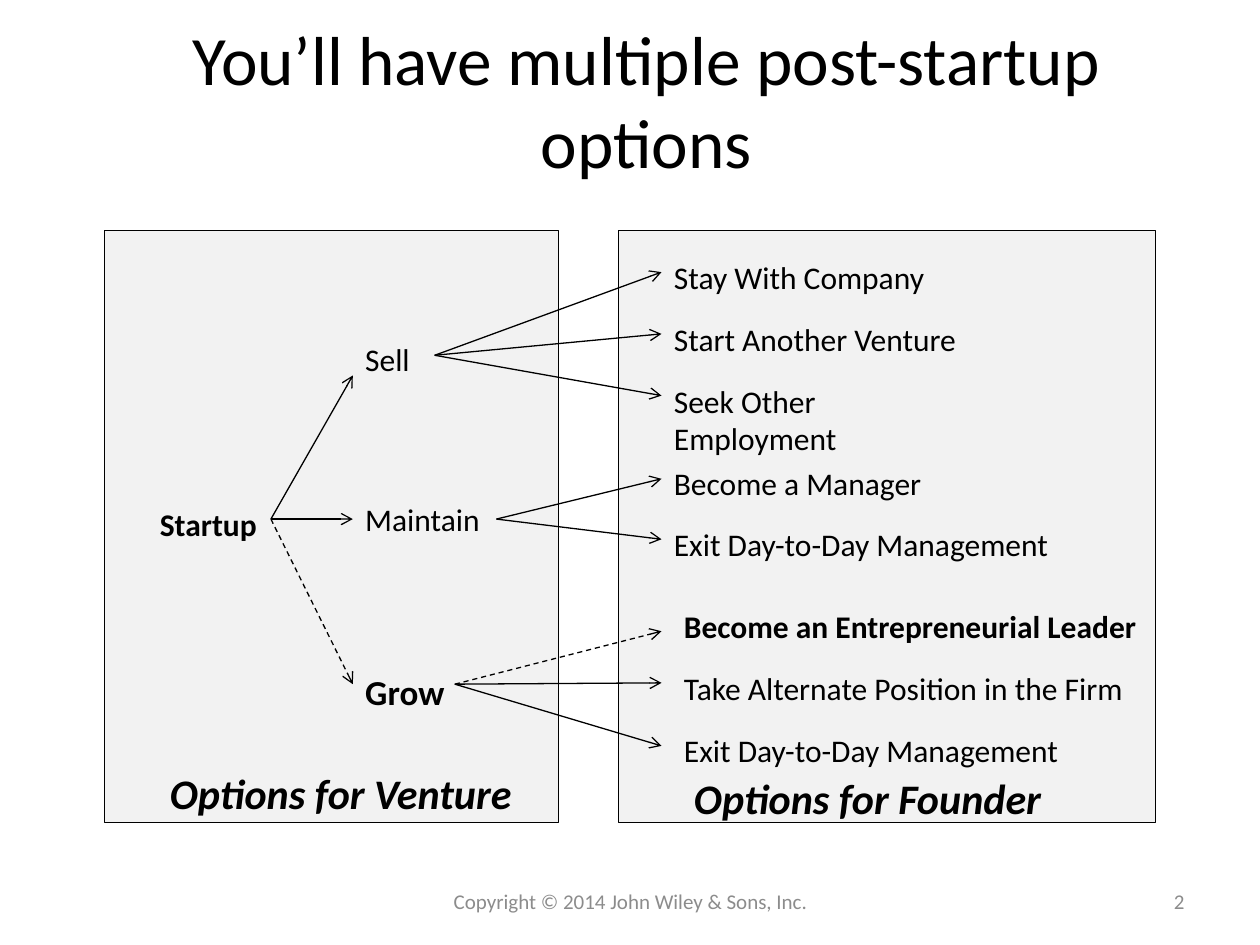
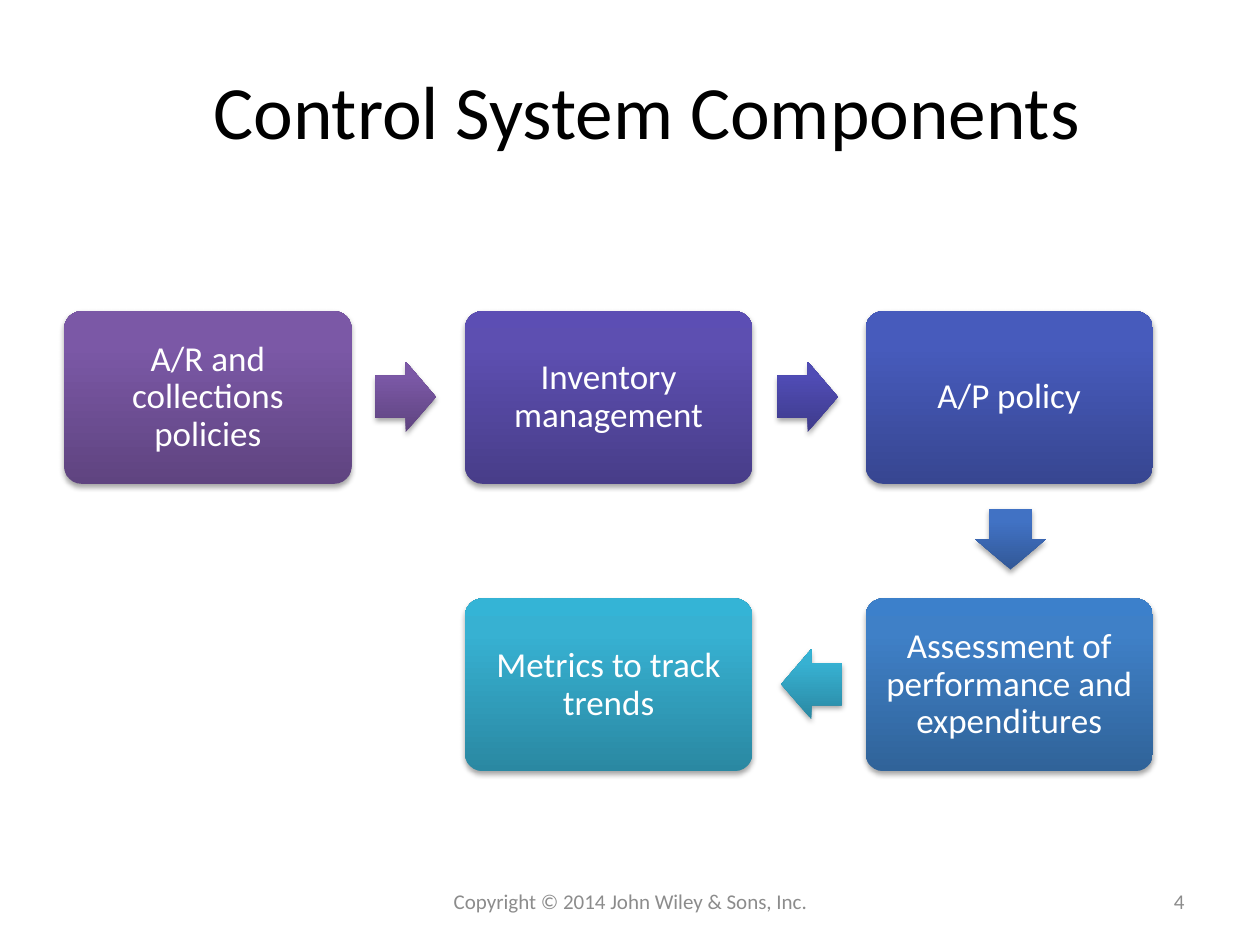
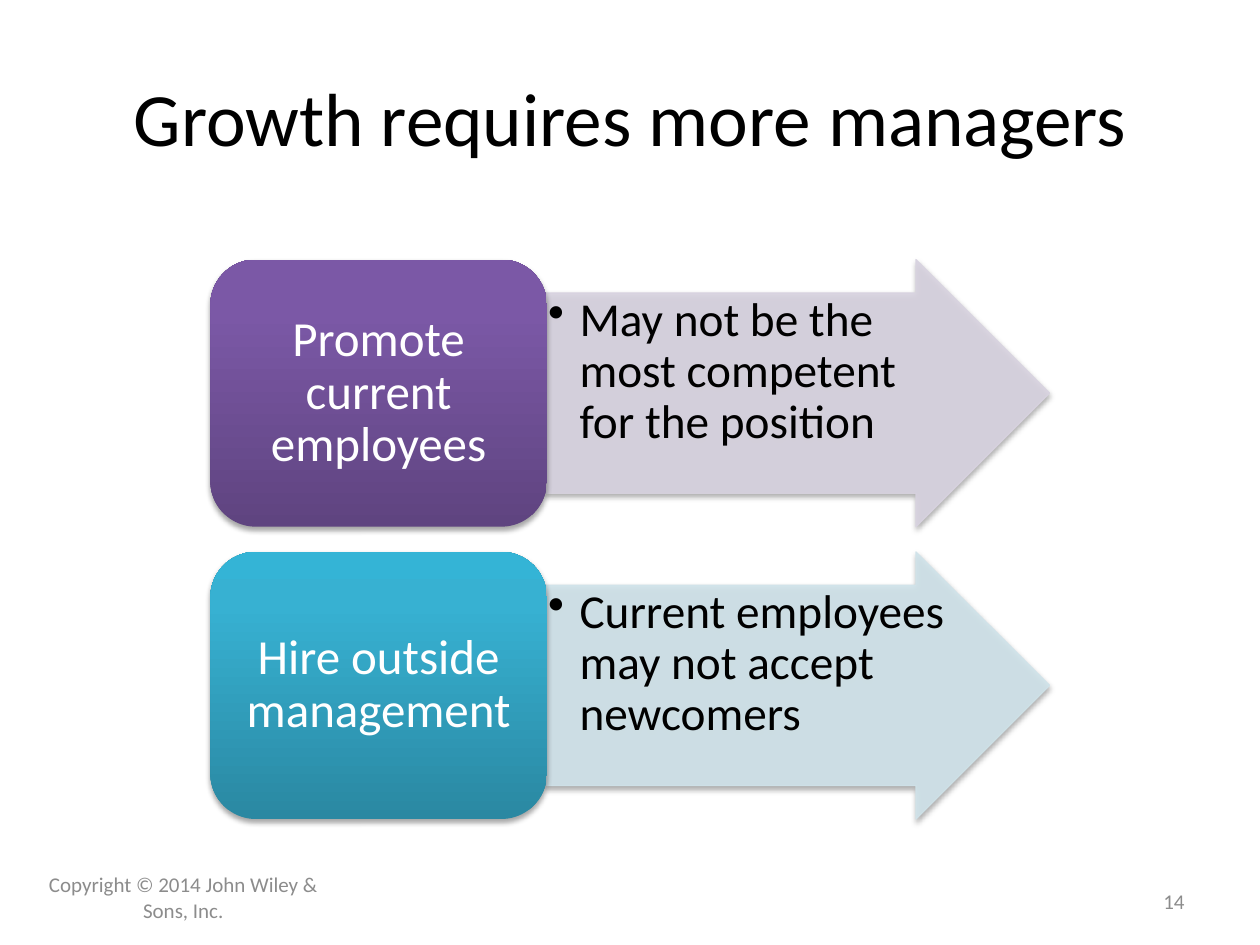
from copy import deepcopy

from lxml import etree
from pptx import Presentation
from pptx.dml.color import RGBColor
from pptx.enum.dml import MSO_LINE
from pptx.enum.shapes import MSO_CONNECTOR, MSO_SHAPE
from pptx.enum.text import MSO_ANCHOR, PP_ALIGN
from pptx.oxml.ns import qn
from pptx.util import Inches, Pt

RECTANGLE = MSO_SHAPE.RECTANGLE
ROUNDED = MSO_SHAPE.ROUNDED_RECTANGLE
ARROW = MSO_SHAPE.RIGHT_ARROW
STRAIGHT = MSO_CONNECTOR.STRAIGHT
DASH = MSO_LINE.DASH
TOP, MIDDLE = MSO_ANCHOR.TOP, MSO_ANCHOR.MIDDLE
LEFT, CENTER, RIGHT = PP_ALIGN.LEFT, PP_ALIGN.CENTER, PP_ALIGN.RIGHT

FONT = "Calibri"
BLACK, WHITE, GREY, PANEL = "000000", "FFFFFF", "8C8C8C", "F2F2F2"
COPYRIGHT = "Copyright © 2014 John Wiley & Sons, Inc."
GRADIENT_POSITIONS = (0, 0.8, 1)
PURPLE = ("5F4480", "7B58A6", "7C57A8")
VIOLET = ("483D89", "5D4FB1", "5C4EB4")
INDIGO = ("3E3B8B", "504CB5", "4F4BB8")
ROYAL = ("374691", "475BBC", "455ABF")
COBALT = ("325897", "4172C4", "3F72C7")
BLUE = ("306399", "3F80C7", "3C80CB")
TEAL = ("2A88A2", "37B1D2", "34B4D6")


def rgb(value):
    """Turn a hex string into a colour."""
    return RGBColor.from_string(value)


def add_element(parent, tag, **attributes):
    """Append a drawing element and return it."""
    element = etree.SubElement(parent, qn(tag))
    for name, value in attributes.items():
        element.set(name, str(value))
    return element


class Deck:
    """Hold the shared style and the current slide."""

    def __init__(self):
        """Start an empty presentation."""
        self.presentation = Presentation()
        self.presentation.slide_width = Inches(10)
        self.presentation.slide_height = Inches(7.5)
        self.slide = None

    def new_slide(self, title, title_box, title_size, number,
                  footer_box=(3.42, 6.95, 3.17, 0.4)):
        """Add a slide with its title, copyright line and number."""
        layout = self.presentation.slide_layouts[6]
        self.slide = self.presentation.slides.add_slide(layout)
        self.text(title, title_box, title_size, align=CENTER, anchor=MIDDLE)
        self.text(COPYRIGHT, footer_box, 12, GREY, align=CENTER, anchor=MIDDLE)
        self.text(number, (7.17, 6.95, 2.33, 0.4), 12, GREY, align=RIGHT, anchor=MIDDLE)

    def set_text(self, shape, text, size, color, align, anchor, bold=False, italic=False):
        """Fill a shape with one styled paragraph and return it."""
        frame = shape.text_frame
        frame.word_wrap = True
        frame.vertical_anchor = anchor
        frame.text = text
        paragraph = frame.paragraphs[0]
        paragraph.alignment = align
        font = paragraph.runs[0].font
        font.name, font.size, font.color.rgb = FONT, Pt(size), rgb(color)
        font.bold, font.italic = bold, italic
        return paragraph

    def text(self, text, box, size=18, color=BLACK, align=LEFT, anchor=TOP, **style):
        """Add a text box."""
        shape = self.slide.shapes.add_textbox(*map(Inches, box))
        self.set_text(shape, text, size, color, align, anchor, **style)

    def shape(self, kind, box, adjustments=()):
        """Add a preset shape without outline or shadow."""
        shape = self.slide.shapes.add_shape(kind, *map(Inches, box))
        for index, value in enumerate(adjustments):
            shape.adjustments[index] = value
        shape.line.fill.background()
        shape.shadow.inherit = False
        return shape

    def panel(self, box):
        """Add a pale panel with a thin outline."""
        shape = self.shape(RECTANGLE, box)
        shape.fill.solid()
        shape.fill.fore_color.rgb = rgb(PANEL)
        shape.line.color.rgb = rgb(BLACK)
        shape.line.width = Pt(0.25)

    def drop_shadow(self, shape):
        """Give a shape a soft shadow below it."""
        effects = shape._element.spPr.find(qn("a:effectLst"))
        shadow = add_element(effects, "a:outerShdw", blurRad=Pt(3.1), dist=Pt(1.8),
                             dir=5400000, rotWithShape=0)
        shadow_color = add_element(shadow, "a:srgbClr", val=BLACK)
        add_element(shadow_color, "a:alpha", val=35000)

    def gradient_shape(self, kind, box, colors, adjustments, rotation=0):
        """Add a shape with a vertical gradient and a shadow."""
        shape = self.shape(kind, box, adjustments)
        shape.rotation = rotation
        shape.fill.gradient()
        shape.fill.gradient_angle = 90
        gradient = shape._element.spPr.find(qn("a:gradFill"))
        gradient.set("rotWithShape", "0")
        stop_list = gradient.find(qn("a:gsLst"))
        stop_list.append(deepcopy(stop_list[0]))
        for stop, position, color in zip(shape.fill.gradient_stops, GRADIENT_POSITIONS, colors):
            stop.position = position
            stop.color.rgb = rgb(color)
        self.drop_shadow(shape)
        return shape

    def card(self, text, box, colors, size, corner, margins):
        """Add a rounded card with centred white text."""
        shape = self.gradient_shape(ROUNDED, box, colors, (corner,))
        paragraph = self.set_text(shape, text, size, WHITE, CENTER, MIDDLE)
        paragraph.line_spacing = 0.9
        self.margins(shape, *margins)

    def margins(self, shape, horizontal, vertical):
        """Set the text margins of a shape."""
        frame = shape.text_frame
        frame.margin_left = frame.margin_right = Inches(horizontal)
        frame.margin_top = frame.margin_bottom = Inches(vertical)

    def bullet_arrow(self, text, box, color):
        """Add a pale translucent arrow with one bullet."""
        shape = self.shape(ARROW, box, (0.75, 0.5))
        shape.fill.solid()
        shape.fill.fore_color.rgb = shape.line.color.rgb = rgb(color)
        shape.line.width = Pt(0.75)
        for fill_color in shape._element.spPr.iter(qn("a:srgbClr")):
            add_element(fill_color, "a:alpha", val=90000)
        self.drop_shadow(shape)
        paragraph = self.set_text(shape, text, 27, BLACK, LEFT, TOP)
        properties = paragraph._p.get_or_add_pPr()
        properties.set("marL", str(Inches(0.25)))
        properties.set("indent", str(Inches(-0.25)))
        add_element(properties, "a:buChar", char="•")
        paragraph.line_spacing = 0.9
        self.margins(shape, 0.02, 0.02)

    def arrow(self, start, end, dashed=False):
        """Draw a thin arrow between two points."""
        connector = self.slide.shapes.add_connector(STRAIGHT, *map(Inches, start + end))
        connector.line.color.rgb = rgb(BLACK)
        connector.line.width = Pt(0.75)
        if dashed:
            connector.line.dash_style = DASH
        properties = connector._element.spPr
        add_element(properties.find(qn("a:ln")), "a:tailEnd", type="arrow")
        add_element(properties, "a:effectLst")


def build_options(deck):
    """Build the tree of options after the startup."""
    deck.new_slide("You’ll have multiple post-startup options", (0.67, 0.25, 8.92, 1.08), 39.6, "2")
    deck.panel((4.91, 1.83, 4.26, 4.7))
    deck.panel((0.83, 1.83, 3.6, 4.7))
    deck.text("Startup", (1.17, 3.96, 0.98, 0.55), bold=True)
    deck.text("Options for Venture", (1.25, 6.04, 3.42, 0.54), 24, bold=True, italic=True)
    deck.text("Options for Founder", (5.41, 6.08, 3.76, 0.54), 24, bold=True, italic=True)

    startup, arrow_end, option_pitch = (2.15, 4.12), 5.25, 0.49
    key_choices = ("Grow", "Become an Entrepreneurial Leader")
    branches = [
        ("Sell", 2.65, 0.65, 18, 2.98, (3.45, 2.82), 5.25, 2,
         [("Stay With Company", 2.45, 2.16), ("Start Another Venture", 2.45, 2.65),
          ("Seek Other Employment", 2.61, 3.14)]),
        ("Maintain", 3.92, 1.14, 18, 4.12, (3.94, 4.12), 5.25, 3.63,
         [("Become a Manager", 2.84, 3.8), ("Exit Day-to-Day Management", 3.26, 4.28)]),
        ("Grow", 5.27, 0.98, 20, 5.43, (3.61, 5.43), 5.33, 4.77,
         [("Become an Entrepreneurial Leader", 4.01, 5.01),
          ("Take Alternate Position in the Firm", 4, 5.42),
          ("Exit Day-to-Day Management", 3.26, 5.92)]),
    ]
    for venture, top, width, size, venture_y, fork, option_left, option_top, options in branches:
        is_key = venture in key_choices
        deck.text(venture, (2.8, top, width, 0.54), size, bold=is_key)
        deck.arrow(startup, (2.8, venture_y), is_key)
        for row, (option, option_width, option_y) in enumerate(options):
            is_key = option in key_choices
            box = (option_left, option_top + row * option_pitch, option_width, 0.49)
            deck.text(option, box, bold=is_key)
            deck.arrow(fork, (arrow_end, option_y), is_key)


def build_control_system(deck):
    """Build the chain of control system components."""
    deck.new_slide("Control System Components", (0.67, 0.33, 8.92, 1.08), 43, "4")
    components = [
        ("A/R and collections policies", 0, 0, PURPLE),
        ("Inventory management", 1, 0, VIOLET),
        ("A/P policy", 2, 0, ROYAL),
        ("Assessment of performance and expenditures", 2, 1, BLUE),
        ("Metrics to track trends", 1, 1, TEAL),
    ]
    for text, column, row, colors in components:
        box = (0.51 + 3.18 * column, 2.47 + 2.28 * row, 2.28, 1.37)
        deck.card(text, box, colors, 20, 0.1, (0.08, 0.08))
    steps = [(2.98, 2.87, 0, PURPLE), (6.17, 2.87, 0, INDIGO),
             (7.78, 4, 90, COBALT), (6.2, 5.15, 180, TEAL)]
    for left, top, rotation, colors in steps:
        deck.gradient_shape(ARROW, (left, top, 0.48, 0.56), colors, (0.6, 0.5), rotation)


def build_managers(deck):
    """Build the two ways of finding managers."""
    deck.new_slide("Growth requires more managers", (0.5, 0.3, 9, 1.25), 43, "14",
                   (0.17, 6.92, 2.57, 0.4))
    sources = [
        ("Promote current employees", "May not be the most competent for the position",
         PURPLE, "D8D3E0"),
        ("Hire outside management", "Current employees may not accept newcomers",
         TEAL, "D0E3EA"),
    ]
    for row, (source, drawback, colors, pale) in enumerate(sources):
        top = 2.06 + 2.32 * row
        deck.bullet_arrow(drawback, (4.33, top, 4, 2.12), pale)
        deck.card(source, (1.67, top, 2.67, 2.12), colors, 28, 0.17, (0.12, 0.06))


def main():
    """Build and save the slides."""
    deck = Deck()
    build_options(deck)
    build_control_system(deck)
    build_managers(deck)
    deck.presentation.save("out.pptx")


if __name__ == "__main__":
    main()
